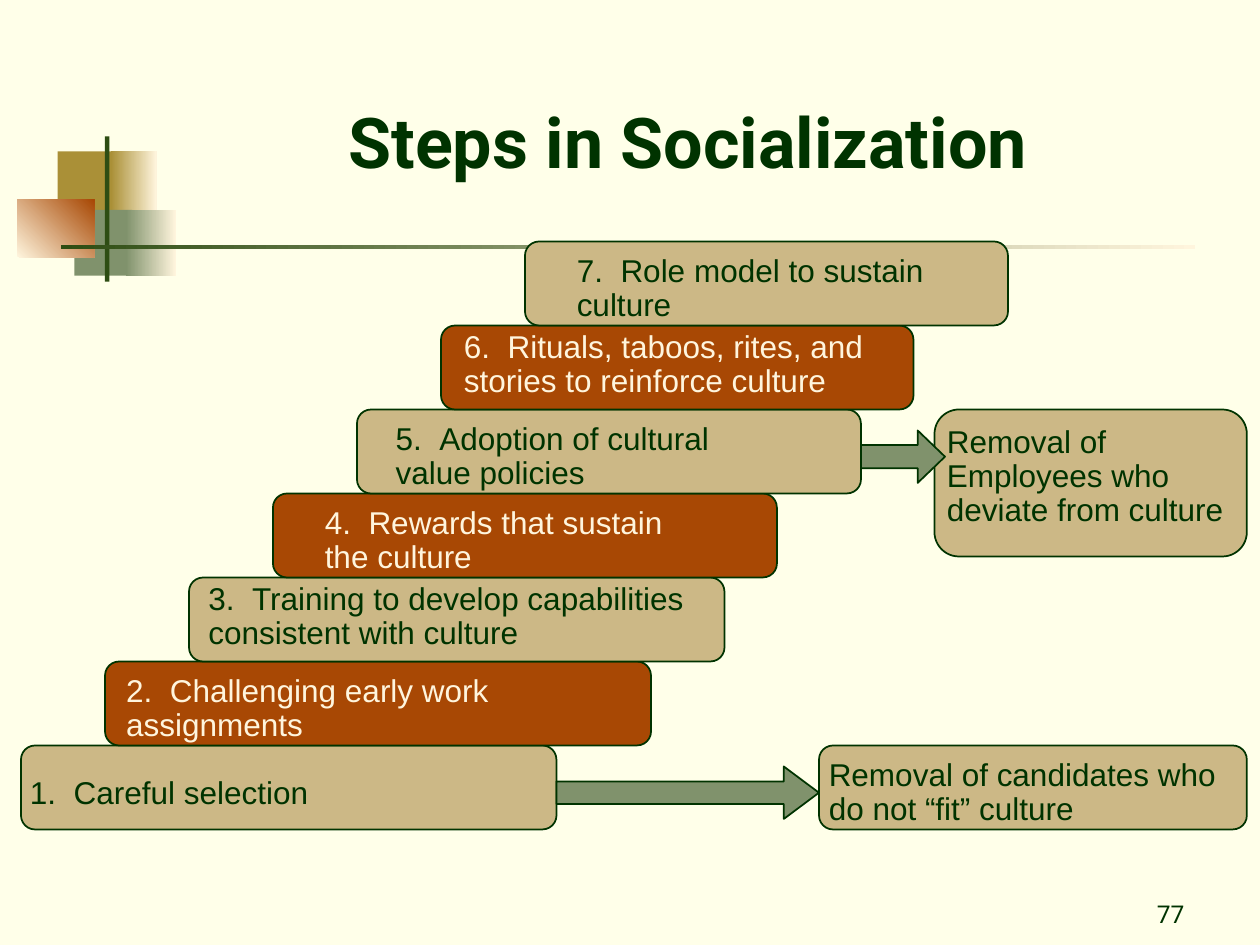
from lxml import etree
from pptx import Presentation
from pptx.dml.color import RGBColor
from pptx.enum.shapes import MSO_SHAPE
from pptx.enum.text import MSO_ANCHOR, MSO_AUTO_SIZE, PP_ALIGN
from pptx.oxml.ns import qn
from pptx.util import Pt

RECTANGLE = MSO_SHAPE.RECTANGLE
ROUNDED = MSO_SHAPE.ROUNDED_RECTANGLE
ARROW = MSO_SHAPE.RIGHT_ARROW
MIDDLE, BOTTOM = MSO_ANCHOR.MIDDLE, MSO_ANCHOR.BOTTOM
CENTER, RIGHT = PP_ALIGN.CENTER, PP_ALIGN.RIGHT
NO_AUTOFIT = MSO_AUTO_SIZE.NONE

COLORS = {
    "background": "FFFFE9",
    "dark": "003300",
    "cream": "FFF5DD",
    "tan": "CCB886",
    "rust": "A84804",
    "sage": "80926C",
    "gold": "AA9037",
    "moss": "2E4D13",
}
STEP_RISE = 48
NUMBER_TAB = 25

# STEPS: wording, block width, text offset x, text offset y, text width
STEPS = [
    ("1.\tCareful selection", 306, -2, 12, 289.5),
    ("2.\tChallenging early work assignments", 312, 5, 4.5, 253.5),
    ("3.\tTraining to develop capabilities consistent with culture", 306, 4, 0, 289.5),
    ("4.\tRewards that sustain the culture", 288, 22.5, 4.5, 217.5),
    ("5.\tAdoption of cultural value policies", 288, 15, 4.5, 226),
    ("6.\tRituals, taboos, rites, and stories to reinforce culture", 270, 6, 0, 245),
    ("7.\tRole model to sustain culture", 276, 22.5, 4.5, 217.5),
]


def color(name):
    return RGBColor.from_string(COLORS[name])


def add_block(slide, kind, box, fill, line=None, fade_to=None, angle=0):
    shape = slide.shapes.add_shape(kind, *map(Pt, box))
    shape.shadow.inherit = False
    if fade_to:
        shape.fill.gradient()
        shape.fill.gradient_angle = angle
        for stop, name in zip(shape.fill.gradient_stops, (fill, fade_to)):
            stop.color.rgb = color(name)
    else:
        shape.fill.solid()
        shape.fill.fore_color.rgb = color(fill)
    if line:
        shape.line.color.rgb = color(line)
        shape.line.width = Pt(1)
    else:
        shape.line.fill.background()
    return shape


def set_font(paragraph, name, size, ink, bold=False):
    paragraph.font.name = name
    paragraph.font.size = Pt(size)
    paragraph.font.bold = bold
    paragraph.font.color.rgb = color(ink)


def add_label(slide, box, text, ink="dark", line_spacing=0.9):
    label = slide.shapes.add_textbox(*map(Pt, box))
    label.text_frame.word_wrap = True
    paragraph = label.text_frame.paragraphs[0]
    paragraph.text = text
    if "\t" in text:
        properties = paragraph._p.get_or_add_pPr()
        tabs = etree.SubElement(properties, qn("a:tabLst"))
        etree.SubElement(tabs, qn("a:tab"), pos=str(Pt(NUMBER_TAB)), algn="l")
    paragraph.line_spacing = line_spacing
    set_font(paragraph, "Arial", 18, ink)


def add_ornament(slide, left, top):
    def piece(x, y, width, height, *fills, angle=0):
        fade_to = fills[1] if len(fills) > 1 else None
        box = (left + x, top + y, width, height)
        add_block(slide, RECTANGLE, box, fills[0], fade_to=fade_to, angle=angle)

    piece(23, 8.5, 34.5, 37.5, "gold")
    piece(53.5, 8.5, 26, 37.5, "gold", "cream")
    piece(32.5, 42, 33, 37.5, "sage")
    piece(62, 42, 28.5, 37.5, "sage", "cream")
    piece(0, 36, 44, 33, "cream", "rust", angle=45)
    piece(50, 0, 2.5, 83, "moss")
    piece(25, 62, 648, 2.5, "moss", "cream")


def add_title(slide, box, text):
    title = slide.shapes.title
    title.left, title.top, title.width, title.height = map(Pt, box)
    frame = title.text_frame
    frame.text = text
    frame.word_wrap = True
    frame.auto_size = NO_AUTOFIT
    frame.vertical_anchor = MIDDLE
    paragraph = frame.paragraphs[0]
    paragraph.alignment = CENTER
    set_font(paragraph, "Roboto", 40, "dark", bold=True)


def add_page_number(slide, box, text):
    frame = slide.shapes.add_textbox(*map(Pt, box)).text_frame
    frame.word_wrap = True
    frame.vertical_anchor = BOTTOM
    paragraph = frame.paragraphs[0]
    paragraph.text = text
    paragraph.alignment = RIGHT
    set_font(paragraph, "Roboto", 14, "dark")


def add_staircase(slide, left, bottom):
    for index, (text, width, text_x, text_y, text_width) in enumerate(STEPS):
        x = left + index * STEP_RISE
        y = bottom - (index + 1) * STEP_RISE
        fill, ink = ("rust", "cream") if index % 2 else ("tan", "dark")
        add_block(slide, ROUNDED, (x, y, width, STEP_RISE), fill, "dark")
        spacing = 0.9 if index else 1.0
        text_box = (x + text_x, y + text_y, text_width, 46 if index else 29)
        add_label(slide, text_box, text, ink, spacing)


def add_removal(slide, box, text, text_x, text_y, text_width):
    left, top, width, height = box
    add_block(slide, ROUNDED, box, "tan", "dark")
    text_box = (left + text_x, top + text_y, text_width, height - 2 * text_y)
    add_label(slide, text_box, text)


def add_arrow(slide, box, adjustments):
    arrow = add_block(slide, ARROW, box, "sage", "dark")
    for index, value in enumerate(adjustments):
        arrow.adjustments[index] = value


def main():
    presentation = Presentation()
    presentation.slide_width = Pt(720)
    presentation.slide_height = Pt(540)
    slide = presentation.slides.add_slide(presentation.slide_layouts[5])
    slide.background.fill.solid()
    slide.background.fill.fore_color.rgb = color("background")

    add_ornament(slide, 10, 78)
    add_page_number(slide, (534, 498, 150, 36), "77")
    add_title(slide, (150, 52.5, 486, 55.5), "Steps in Socialization")
    add_staircase(slide, 12, 474)
    add_removal(slide, (534, 234, 178.5, 84),
                "Removal of Employees who deviate from culture", 0, 6, 186)
    add_removal(slide, (468, 426, 244.5, 48),
                "Removal of candidates who do not “fit” culture", -1.5, 4.5, 253.5)
    add_arrow(slide, (318, 438, 150, 30), (0.43, 0.67))
    add_arrow(slide, (492, 246, 48, 30), (0.44, 0.52))
    presentation.save("out.pptx")


if __name__ == "__main__":
    main()
